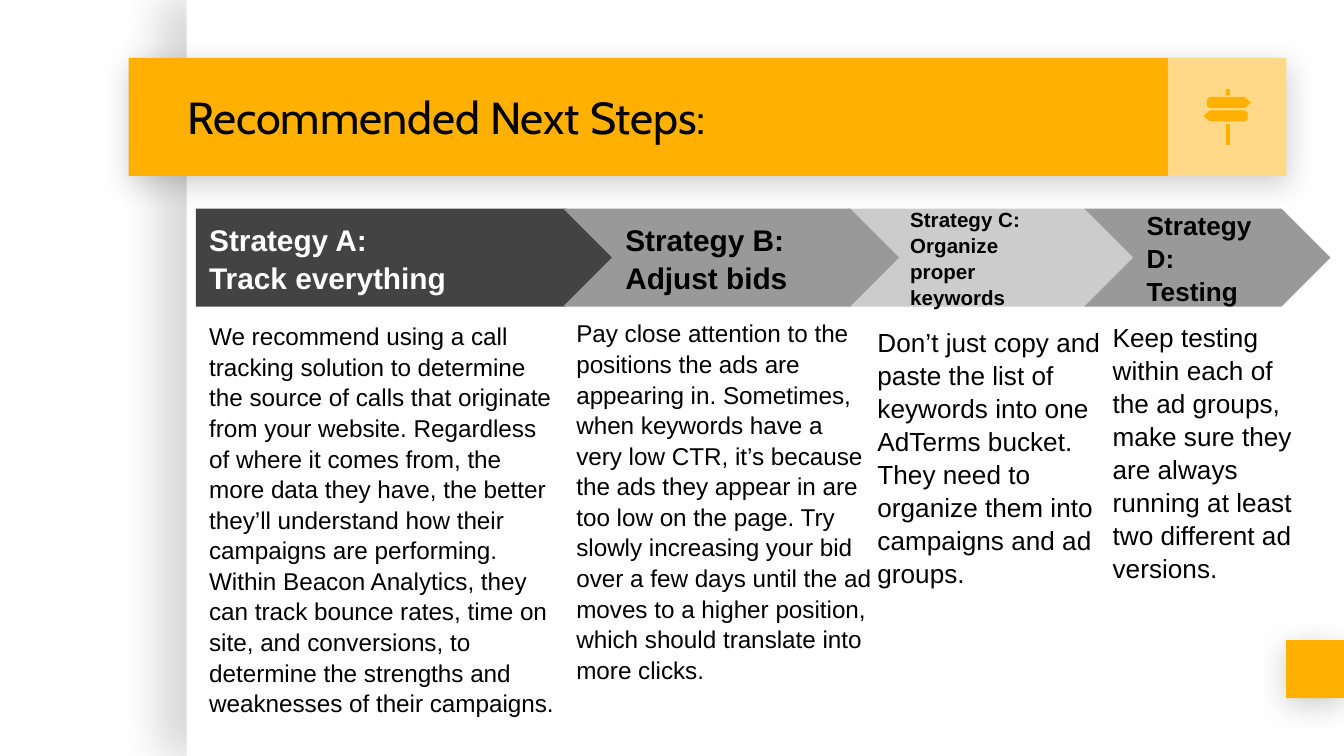
from lxml.etree import SubElement
from pptx import Presentation
from pptx.dml.color import RGBColor
from pptx.enum.shapes import MSO_SHAPE
from pptx.enum.text import MSO_ANCHOR, MSO_AUTO_SIZE, PP_ALIGN
from pptx.oxml.ns import qn
from pptx.util import Pt

AMBER, WHITE, BLACK = "FFB000", "FFFFFF", "000000"
INSET = 7.2
STEP_TOP, STEP_HEIGHT = 111.75, 52.5
SIGN_AXIS = 657.5

STEPS = [
    ("C", "Organize\vproper keywords", MSO_SHAPE.CHEVRON, 454.3, 153.4, "CCCCCC", BLACK, 11,
     (463, 167, 139, 151), 14,
     "Don’t just copy and paste the list of keywords into one AdTerms bucket. "
     "They need to organize them into campaigns and ad groups."),
    ("A", "Track everything", MSO_SHAPE.PENTAGON, 105, 224.6, "434343", WHITE, 16,
     (105, 164.2, 200, 229.7), 13,
     "We recommend using a call tracking solution to determine the source of calls "
     "that originate from your website. Regardless of where it comes from, the more "
     "data they have, the better they’ll understand how their campaigns are "
     "performing. Within Beacon Analytics, they can track bounce rates, time on site, "
     "and conversions, to determine the strengths and weaknesses of their campaigns."),
    ("B", "Adjust bids", MSO_SHAPE.CHEVRON, 301.7, 180, "999999", BLACK, 16,
     (301.7, 162.7, 172, 240), 13,
     "Pay close attention to the positions the ads are appearing in. Sometimes, when "
     "keywords have a very low CTR, it’s because the ads they appear in are too low "
     "on the page. Try slowly increasing your bid over a few days until the ad moves "
     "to a higher position, which should translate into more clicks."),
    ("D", "Testing", MSO_SHAPE.CHEVRON, 581, 131.8, "999999", BLACK, 14,
     (589, 164.2, 116, 151), 14,
     "Keep testing within each of the ad groups, make sure they are always running "
     "at least two different ad versions."),
]


def rgb(color):
    return RGBColor.from_string(color)


def paint(shape, color):
    shape.fill.solid()
    shape.fill.fore_color.rgb = rgb(color)
    shape.line.fill.background()
    shape.shadow.inherit = False


def add_block(slide, kind, box, color):
    block = slide.shapes.add_shape(kind, *map(Pt, box))
    paint(block, color)
    return block


def set_alpha(color_element, percent):
    SubElement(color_element, qn("a:alpha"), val=str(percent * 1000))


def cast_shadow(shape, alpha, blur, distance, angle):
    effects = shape._element.spPr.find(qn("a:effectLst"))
    shadow = SubElement(effects, qn("a:outerShdw"), blurRad=str(Pt(blur)),
                        dist=str(Pt(distance)), dir=str(angle * 60000),
                        algn="bl", rotWithShape="0")
    set_alpha(SubElement(shadow, qn("a:srgbClr"), val=BLACK), alpha)


def write(shape, text, size, color, anchor, bold=False, font="Arial", spacing=1.05):
    frame = shape.text_frame
    frame.text = text
    frame.word_wrap = True
    frame.auto_size = MSO_AUTO_SIZE.NONE
    frame.vertical_anchor = anchor
    frame.margin_left = frame.margin_right = Pt(INSET)
    frame.margin_top = frame.margin_bottom = Pt(0 if bold else INSET)
    for paragraph in frame.paragraphs:
        paragraph.alignment = PP_ALIGN.LEFT
        paragraph.line_spacing = spacing
        for run in paragraph.runs:
            run.font.size = Pt(size)
            run.font.name = font
            run.font.bold = bold
            run.font.color.rgb = rgb(color)


def add_outline(slide, points):
    start, *rest = [(Pt(x), Pt(y)) for x, y in points]
    builder = slide.shapes.build_freeform(*start)
    builder.add_line_segments(rest, close=True)
    paint(builder.convert_to_shape(), AMBER)


def add_signpost(slide):
    right_sign = [(648, 52), (666.7, 52), (670.2, 55), (666.7, 58),
                  (648, 58), (646.6, 56.8), (646.6, 53.2)]
    left_sign = [(2 * SIGN_AXIS - x, y + 7.1) for x, y in right_sign]
    cap = [(657.4, 47.6), (658.3, 47.6), (659, 48.5), (659, 51.1),
           (656.6, 51.1), (656.6, 48.5)]
    post = [(656.6, 66.2), (659, 66.2), (659, 77.8), (656.6, 77.8)]
    for outline in (right_sign, left_sign, cap, post):
        add_outline(slide, outline)


def add_backdrop(slide):
    panel = add_block(slide, MSO_SHAPE.RECTANGLE, (100, 0, 620, 405), WHITE)
    cast_shadow(panel, 15, 22.5, 15, 180)
    for box in ((689, 343, 31, 31), (69, 31, 620, 63.3)):
        band = add_block(slide, MSO_SHAPE.RECTANGLE, box, AMBER)
        cast_shadow(band, 20, 16.9, 3.8, 90)
    icon_tile = add_block(slide, MSO_SHAPE.RECTANGLE, (625.7, 31, 63.3, 63.3), WHITE)
    set_alpha(icon_tile._element.spPr.find(qn("a:solidFill"))[0], 53)


def add_title(slide, text):
    title = slide.shapes.title
    title.left, title.top, title.width, title.height = map(Pt, (93, 31, 531, 63.3))
    write(title, text, 24, BLACK, MSO_ANCHOR.MIDDLE, font="Cabin", spacing=1)
    slide.shapes._spTree.append(title._element)


def add_step(slide, letter, action, kind, left, width, fill, ink, size,
             advice_box, advice_size, advice):
    arrow = add_block(slide, kind, (left, STEP_TOP, width, STEP_HEIGHT), fill)
    write(arrow, f"Strategy {letter}:\n{action}", size, ink, MSO_ANCHOR.MIDDLE, bold=True)
    advice_text = slide.shapes.add_textbox(*map(Pt, advice_box))
    write(advice_text, advice, advice_size, BLACK, MSO_ANCHOR.TOP)


def main():
    deck = Presentation()
    deck.slide_width, deck.slide_height = Pt(720), Pt(405)
    slide = deck.slides.add_slide(deck.slide_layouts[5])
    add_backdrop(slide)
    add_title(slide, "Recommended Next Steps:")
    add_signpost(slide)
    for step in STEPS:
        add_step(slide, *step)
    deck.save("out.pptx")


if __name__ == "__main__":
    main()
